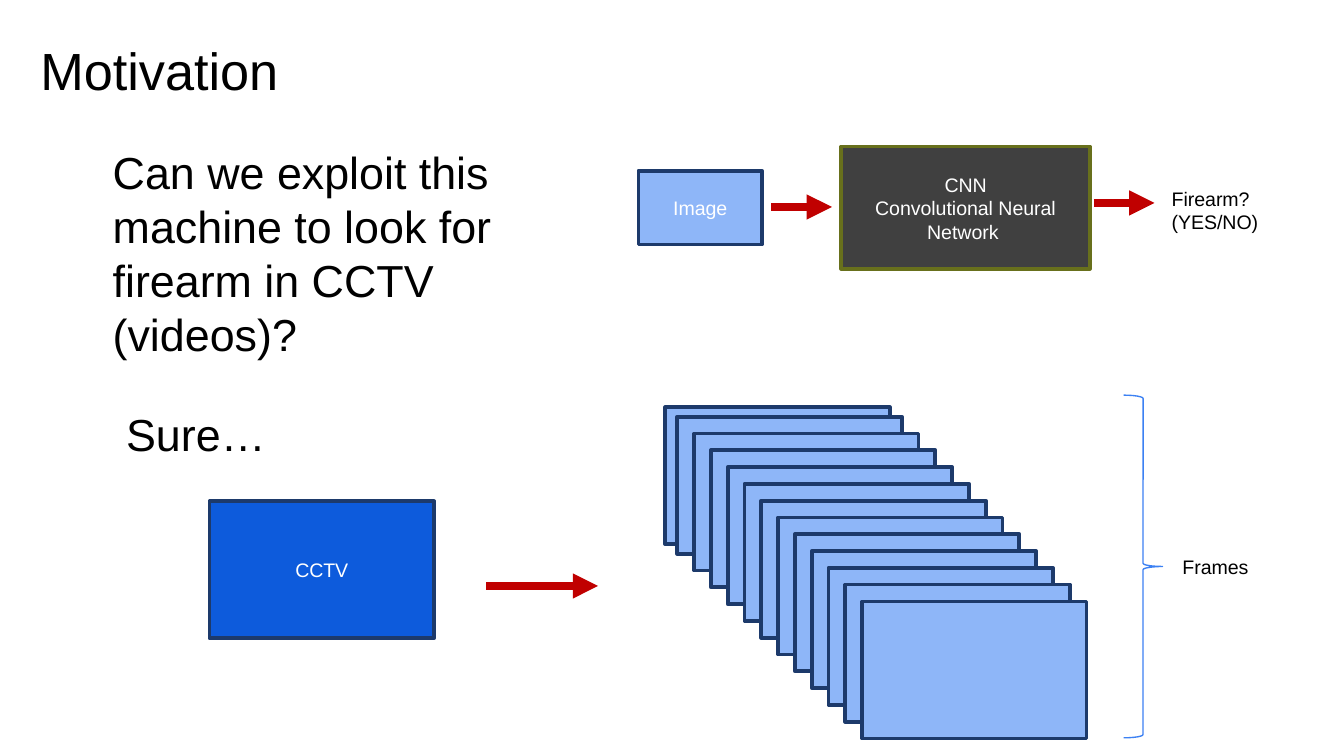
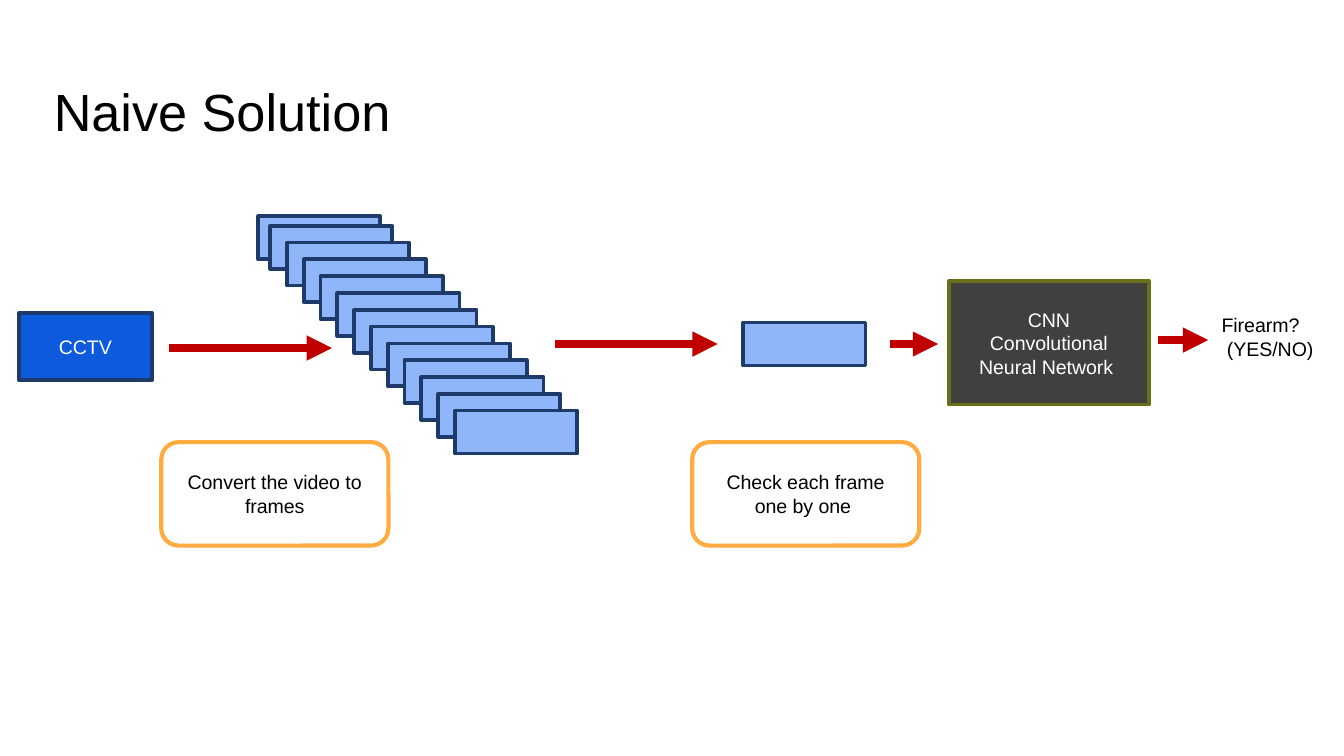
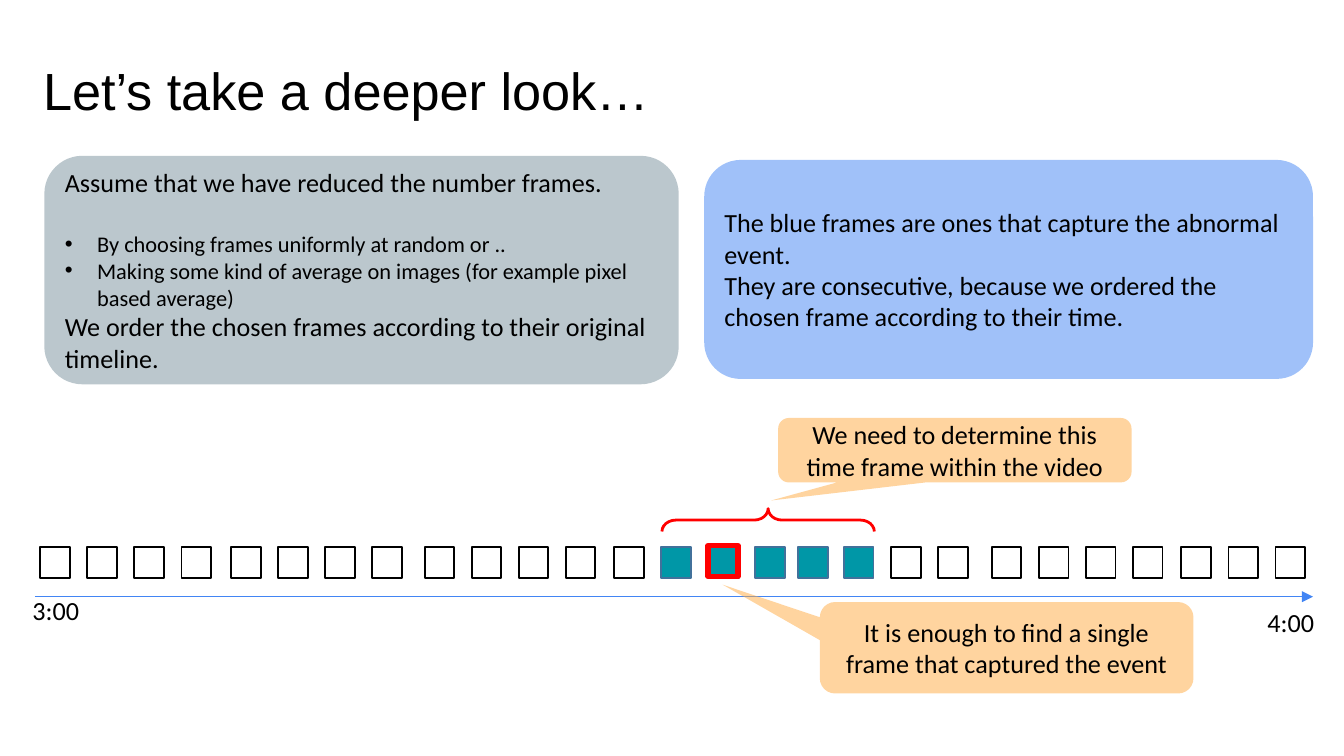
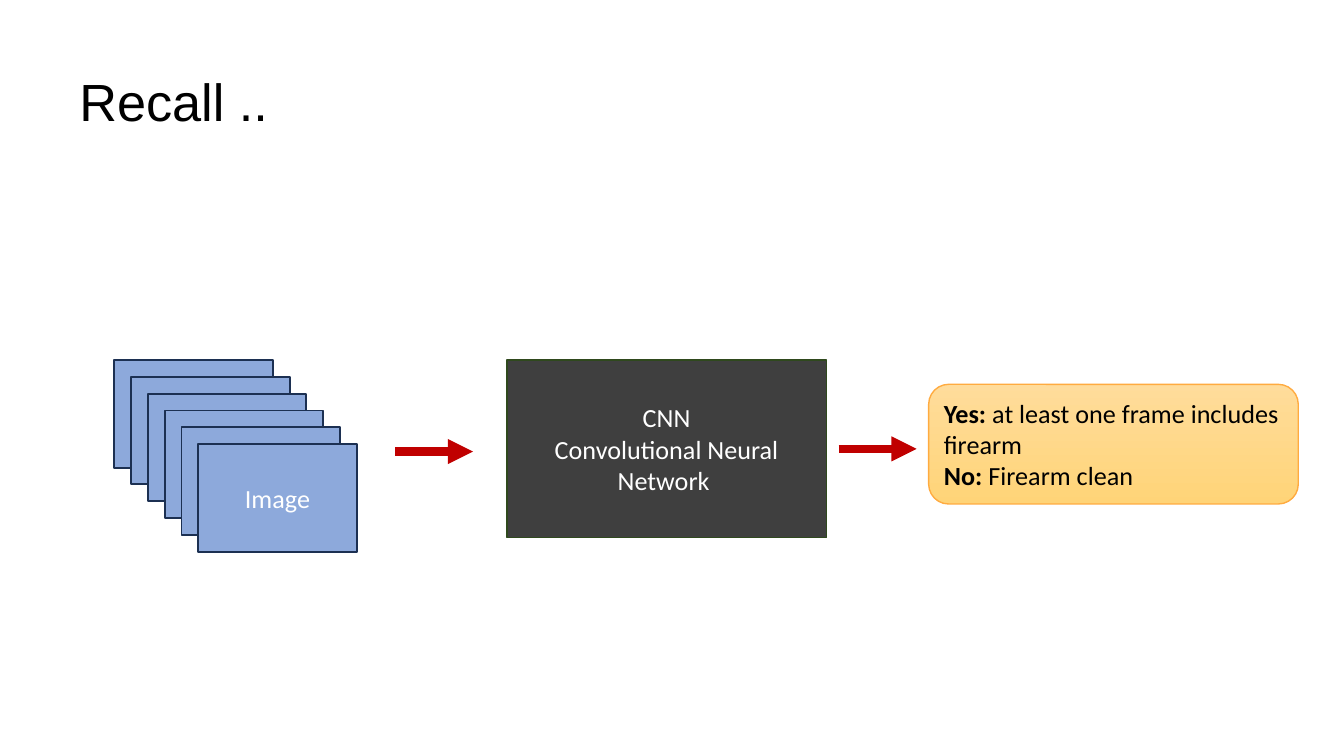
from dataclasses import dataclass
from typing import NamedTuple, Optional

from lxml import etree
from pptx import Presentation
from pptx import util as u
from pptx.dml.color import RGBColor
from pptx.enum import shapes, text
from pptx.oxml.ns import qn

PX = 9144  # EMU; 100 px make an inch
PAGE_WIDTH = 1000
TITLE_ONLY = 5
Kind = shapes.MSO_SHAPE
Align = text.PP_ALIGN
Anchor = text.MSO_ANCHOR


@dataclass(frozen=True)
class Theme:
    black: str = "000000"
    white: str = "FFFFFF"
    arrow: str = "C00000"
    accent: str = "4285F4"
    amber: str = "FFAB40"
    amber_top: str = "FFDC9B"
    amber_bottom: str = "FFD478"
    sans: str = "Arial"
    body: str = "Calibri"
    title_size: float = 28
    lead_size: float = 24
    note_size: float = 14
    bullet_size: float = 12
    label_size: float = 10.5


THEME = Theme()


class Rect(NamedTuple):
    left: float
    top: float
    width: float
    height: float


@dataclass(frozen=True)
class Look:
    fill: Optional[str] = None
    line: Optional[str] = None
    weight: float = 1
    opacity: int = 100


@dataclass(frozen=True)
class Type:
    font: str
    size: float
    color: str = THEME.black
    inset: tuple[int, int] = (10, 5)


class Span(NamedTuple):
    words: str
    bold: bool = False


@dataclass(frozen=True)
class Para:
    spans: tuple[Span, ...]
    size: Optional[float] = None
    bullet: bool = False
    before: float = 0


class Arrow(NamedTuple):
    start: int
    end: int
    level: int


TIGHT = (7, 4)
LABEL = Type(THEME.sans, THEME.label_size)
LABEL_LIGHT = Type(THEME.sans, THEME.label_size, THEME.white)
LEAD = Type(THEME.sans, THEME.lead_size)
TITLE = Type(THEME.sans, THEME.title_size, inset=TIGHT)
NOTE = Type(THEME.body, THEME.note_size, inset=TIGHT)
NOTE_LIGHT = Type(THEME.body, THEME.note_size, THEME.white, TIGHT)

CAMERA = Look("0D5BDC", "1D3A6B", 2)
FRAME = Look("8EB6F8", "1D3A6B", 2)
NETWORK = Look("404040", "68701C", 2)
STEP = Look(None, THEME.amber, 2.25)
EMPTY_FRAME = Look(THEME.white, THEME.black)
EVENT_FRAME = Look("0097A7", "42719B")
FOUND_FRAME = Look(None, "FF0000", 3)
EVENT_BRACE = Look(None, "FF0000", 1.5)
VIDEO_BRACE = Look(None, "3C81F3", 0.75)
CALLOUT = Look(THEME.amber, opacity=50)
GREY_PANEL = Look("78909C", opacity=50)
BLUE_PANEL = Look(THEME.accent, opacity=50)
RECALL_FRAME = Look("8DA9DB", "1C3052")
RECALL_NETWORK = Look("3F3F3F", "2F491D")
ANSWER = Look(THEME.amber, THEME.amber, 0.75)

LAYER_STEP = 12.5
NETWORK_TEXT = ("CNN", "Convolutional Neural Network ")


def emu(px: float) -> u.Emu:
    return u.Emu(round(px * PX))


def rgb(color: str) -> RGBColor:
    return RGBColor.from_string(color)


def add_bullet(para) -> None:
    props = para._p.get_or_add_pPr()
    props.set("marL", str(emu(24)))
    props.set("indent", str(emu(-24)))
    color = etree.SubElement(props, qn("a:buClr"))
    etree.SubElement(color, qn("a:srgbClr"), val=THEME.black)
    etree.SubElement(props, qn("a:buFont"), typeface=THEME.sans)
    etree.SubElement(props, qn("a:buChar"), char="•")


def write(shape, paras: tuple, style: Type, align=Align.LEFT, anchor=Anchor.MIDDLE):
    """Fill a shape with paragraphs, given as plain strings or as Para."""
    frame = shape.text_frame
    frame.word_wrap = True
    frame.vertical_anchor = anchor
    frame.margin_left = frame.margin_right = emu(style.inset[0])
    frame.margin_top = frame.margin_bottom = emu(style.inset[1])
    for index, item in enumerate(paras):
        content = Para((Span(item),)) if isinstance(item, str) else item
        para = frame.add_paragraph() if index else frame.paragraphs[0]
        para.alignment = align
        if content.before:
            para.space_before = u.Pt(content.before)
        if content.bullet:
            add_bullet(para)
        for words, bold in content.spans:
            span = para.add_run()
            span.text = words
            span.font.name = style.font
            span.font.size = u.Pt(content.size or style.size)
            span.font.bold = bold
            span.font.color.rgb = rgb(style.color)
    return frame


def place(shape, rect: Rect) -> None:
    shape.left, shape.top, shape.width, shape.height = map(emu, rect)


def add_page(deck, title: str, left: int, top: int):
    page = deck.slides.add_slide(deck.slide_layouts[TITLE_ONLY])
    box = page.shapes.title
    place(box, Rect(left, top, 862, 109))
    frame = write(box, (title,), TITLE)
    frame.auto_size = text.MSO_AUTO_SIZE.NONE
    frame.paragraphs[0].line_spacing = 0.9
    return page


def add_box(page, rect: Rect, look: Look, kind=Kind.RECTANGLE, adjust: tuple = ()):
    box = page.shapes.add_shape(kind, *map(emu, rect))
    box.shadow.inherit = False
    for index, value in enumerate(adjust):
        box.adjustments[index] = value
    if look.fill:
        box.fill.solid()
        box.fill.fore_color.rgb = rgb(look.fill)
        if look.opacity < 100:
            color = box.fill._xPr.find(".//" + qn("a:srgbClr"))
            etree.SubElement(color, qn("a:alpha"), val=str(look.opacity * 1000))
    else:
        box.fill.background()
    if look.line:
        box.line.color.rgb = rgb(look.line)
        box.line.width = u.Pt(look.weight)
    else:
        box.line.fill.background()
    return box


def add_centred(page, rect: Rect, look: Look, paras: tuple, style: Type, **form) -> None:
    write(add_box(page, rect, look, **form), paras, style, Align.CENTER)


def add_label(page, rect: Rect, paras: tuple, style: Type, wrap: bool = True) -> None:
    box = page.shapes.add_textbox(*map(emu, rect))
    frame = write(box, paras, style, anchor=Anchor.TOP)
    frame.word_wrap = wrap
    frame.auto_size = text.MSO_AUTO_SIZE.SHAPE_TO_FIT_TEXT


def add_arrow(page, arrow: Arrow, color: str = THEME.arrow, weight: float = 4.5) -> None:
    level = emu(arrow.level)
    line = page.shapes.add_connector(
        shapes.MSO_CONNECTOR.STRAIGHT, emu(arrow.start), level, emu(arrow.end), level)
    line.line.color.rgb = rgb(color)
    line.line.width = u.Pt(weight)
    etree.SubElement(line.line._get_or_add_ln(), qn("a:tailEnd"), type="triangle")
    etree.SubElement(line._element.spPr, qn("a:effectLst"))


def add_stack(page, rect: Rect, count: int, look: Look):
    """Draw overlapping frames from back to front and return the front one."""
    for layer in range(count):
        shift = layer * LAYER_STEP
        front = add_box(page, rect._replace(left=rect.left + shift, top=rect.top + shift), look)
    return front


def add_video(page, back: Rect) -> None:
    """Draw a back frame, peeking out less, and the twelve frames before it."""
    add_box(page, back, FRAME)
    add_stack(page, back._replace(left=back.left + 9, top=back.top + 7), 12, FRAME)


def build_motivation(deck) -> None:
    page = add_page(deck, "Motivation", 23, 0)
    add_label(page, Rect(862, 134, 87, 45), ("Firearm? (YES/NO)",), LABEL)
    add_centred(page, Rect(626, 109, 185, 91), NETWORK, NETWORK_TEXT, LABEL_LIGHT)
    add_centred(page, Rect(475, 127, 92, 55), FRAME, ("Image",), LABEL_LIGHT)
    question = "Can we exploit this machine to look for firearm in CCTV (videos)?"
    add_label(page, Rect(74, 103, 342, 172), (question,), LEAD)
    add_centred(page, Rect(156, 373, 167, 102), CAMERA, ("CCTV",), LABEL_LIGHT)
    for arrow in (Arrow(574, 619, 154), Arrow(814, 859, 151), Arrow(362, 445, 436)):
        add_arrow(page, arrow)
    add_video(page, Rect(495, 303, 167, 102))
    add_box(page, Rect(836, 294, 29, 255), VIDEO_BRACE, Kind.RIGHT_BRACE)
    add_label(page, Rect(870, 408, 70, 28), ("Frames",), LABEL, wrap=False)
    add_label(page, Rect(84, 298, 342, 50), ("Sure…",), LEAD)


def build_naive_solution(deck) -> None:
    page = add_page(deck, "Naive Solution", 33, 31)
    add_centred(page, Rect(14, 233, 99, 50), CAMERA, ("CCTV",), LABEL_LIGHT)
    add_video(page, Rect(192, 161, 91, 32))
    add_box(page, Rect(553, 240, 91, 32), FRAME)
    add_label(page, Rect(899, 228, 95, 45), ("Firearm?", " (YES/NO)"), LABEL)
    add_centred(page, Rect(706, 209, 149, 92), NETWORK, NETWORK_TEXT, LABEL_LIGHT)
    for arrow in (Arrow(126, 247, 259), Arrow(413, 534, 256),
                  Arrow(662, 698, 256), Arrow(862, 899, 253)):
        add_arrow(page, arrow)
    for left, words in ((120, "Convert the video to frames"),
                        (515, "Check each frame one by one ")):
        add_centred(page, Rect(left, 329, 169, 77), STEP, (words,), LABEL,
                    kind=Kind.ROUNDED_RECTANGLE)


def build_deeper_look(deck) -> None:
    page = add_page(deck, "Let’s take a deeper look…", 25, 15)
    frame = Rect(0, 407, 22, 23)
    empty_runs = ((30, 4), (172, 4), (316, 4), (457, 1), (663, 2), (738, 4), (879, 3))
    for start, count in empty_runs:
        for index in range(count):
            add_box(page, frame._replace(left=start + 35 * index), EMPTY_FRAME)
    for left in (492, 528, 562, 594, 628):
        add_box(page, frame._replace(left=left), EVENT_FRAME)
    add_box(page, Rect(527, 406, 22, 23), FOUND_FRAME)

    add_arrow(page, Arrow(26, 977, 444), THEME.accent, 0.75)
    for left, top, time in ((17, 438, "3:00"), (936, 447, "4:00")):
        add_label(page, Rect(left, top, 62, 31), (time,), NOTE)

    brace = add_box(page, Rect(563, 308, 17, 158), EVENT_BRACE, Kind.LEFT_BRACE, (0.61, 0.5))
    brace.rotation = 90
    for rect, pointer, words in (
        (Rect(579, 311, 263, 48), (-0.52, 0.78),
         "We need to determine this time frame within the video"),
        (Rect(610, 448, 278, 68), (-0.76, -0.69),
         "It is enough to find a single frame that captured the event"),
    ):
        add_centred(page, rect, CALLOUT, (words,), NOTE,
                    kind=Kind.ROUNDED_RECTANGULAR_CALLOUT, adjust=pointer)

    small = THEME.bullet_size
    assumptions = (
        "Assume that we have reduced the number frames.",
        Para((Span("By choosing frames uniformly at random or .."),), small, True, before=17),
        Para((Span("Making some kind of average on images (for example pixel based average)"),),
             small, True),
        "We order the chosen frames according to their original timeline.",
    )
    findings = (
        "The blue frames are ones that capture the abnormal event.",
        "They are consecutive, because we ordered the chosen frame according to their time.",
    )
    for rect, look, paras in ((Rect(33, 116, 472, 170), GREY_PANEL, assumptions),
                              (Rect(524, 119, 453, 163), BLUE_PANEL, findings)):
        write(add_box(page, rect, look, Kind.ROUNDED_RECTANGLE), paras, NOTE)


def build_recall(deck) -> None:
    page = add_page(deck, "Recall ..", 52, 23)
    add_centred(page, Rect(377, 268, 238, 132), RECALL_NETWORK, NETWORK_TEXT, NOTE_LIGHT)
    for arrow in (Arrow(624, 682, 334), Arrow(294, 352, 336)):
        add_arrow(page, arrow)
    front = add_stack(page, Rect(85, 268, 118, 80), 6, RECALL_FRAME)
    write(front, ("Image",), NOTE_LIGHT, Align.CENTER)

    answer = add_box(page, Rect(691, 286, 275, 89), ANSWER, Kind.ROUNDED_RECTANGLE)
    answer.fill.gradient()
    answer.fill.gradient_angle = 270
    for stop, color in zip(answer.fill.gradient_stops, (THEME.amber_top, THEME.amber_bottom)):
        stop.color.rgb = rgb(color)
    write(answer, (
        Para((Span("Yes: ", True), Span("at least one frame includes firearm"))),
        Para((Span("No: ", True), Span("Firearm clean"))),
    ), NOTE)


def main() -> None:
    deck = Presentation()
    deck.slide_width = emu(PAGE_WIDTH)
    deck.slide_height = emu(PAGE_WIDTH * 9 / 16)
    for build in (build_motivation, build_naive_solution, build_deeper_look, build_recall):
        build(deck)
    deck.save("out.pptx")


if __name__ == "__main__":
    main()
